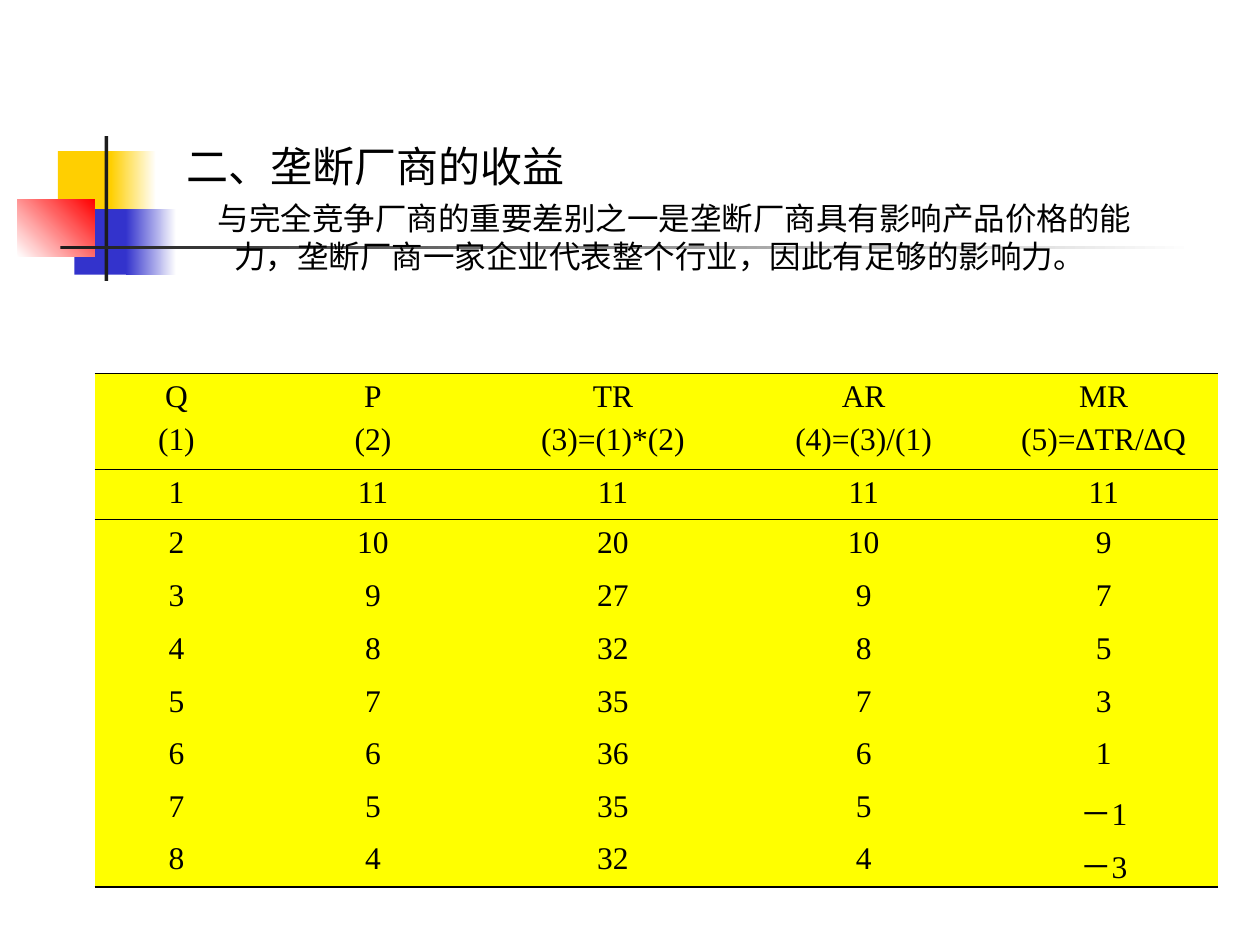
from lxml import etree
from pptx import Presentation
from pptx.dml.color import RGBColor
from pptx.enum.shapes import MSO_SHAPE
from pptx.enum.text import MSO_ANCHOR, PP_ALIGN
from pptx.oxml.ns import qn
from pptx.util import Inches, Pt

RECT = MSO_SHAPE.RECTANGLE
TOP = MSO_ANCHOR.TOP
LEFT, MID = PP_ALIGN.LEFT, PP_ALIGN.CENTER
PLAIN = "{2D5ABB26-0587-4C30-8999-92F81FD0307C}"

COLORS = {
    "gold": "FFCF01", "blue": "3333CC", "red": "FF0000", "dark": "1C1C1C",
    "white": "FFFFFF", "black": "000000", "yellow": "FFFF00",
}

# Fill colours, place and angle of each block
BLOCKS = [
    (["gold"], (0.46, 1.2, 0.48, 0.52), 0),
    (["gold", "white"], (0.88, 1.2, 0.36, 0.52), 0),
    (["blue"], (0.59, 1.66, 0.46, 0.52), 0),
    (["blue", "white"], (1, 1.66, 0.4, 0.52), 0),
    (["white", "red"], (0.14, 1.58, 0.61, 0.46), 45),
    (["dark"], (0.83, 1.08, 0.03, 1.15), 0),
    (["dark", "white"], (0.48, 1.95, 9, 0.03), 0),
]

# Text, size, space before and first-line indent
BODY = [
    ("二、垄断厂商的收益", 24, 0, -0.38),
    ("与完全竞争厂商的重要差别之一是垄断厂商具有影响产品价格的能力，"
     "垄断厂商一家企业代表整个行业，因此有足够的影响力。", 18, 4.5, -0.13),
]

HEAD = [("Q", "(1)"), ("P", "(2)"), ("TR", "(3)=(1)*(2)"),
        ("AR", "(4)=(3)/(1)"), ("MR", "(5)=∆TR/∆Q")]
SALES = [
    (1, 11, 11, 11, 11),
    (2, 10, 20, 10, 9),
    (3, 9, 27, 9, 7),
    (4, 8, 32, 8, 5),
    (5, 7, 35, 7, 3),
    (6, 6, 36, 6, 1),
    (7, 5, 35, 5, "－1"),
    (8, 4, 32, 4, "－3"),
]
WIDTHS = [1.3, 1.82, 1.99, 1.99, 1.82]
HEIGHTS = [0.76, 0.4, 0.42, 0.42, 0.42, 0.41, 0.42, 0.42, 0.41]


def tint(name):
    return RGBColor.from_string(COLORS[name])


def adorn(target, values):
    """Set each attribute named in the dict."""
    for key, value in values.items():
        setattr(target, key, value)


class Deck:
    """Holds the text style and the current slide."""

    def __init__(self, slide):
        self.slide = slide
        self.body = "Roboto"
        self.grid = "Times New Roman"
        self.ink = "black"
        self.cell = "yellow"

    def block(self, names, box, angle):
        shape = self.slide.shapes.add_shape(RECT, *map(Inches, box))
        shape.shadow.inherit = False
        shape.line.fill.background()
        fill = shape.fill
        if len(names) == 1:
            fill.solid()
            fill.fore_color.rgb = tint(names[0])
            return
        fill.gradient()
        fill.gradient_angle = angle
        for stop, name in zip(fill.gradient_stops, names):
            stop.color.rgb = tint(name)

    def line(self, para, text, size, face, space, align):
        adorn(para, {"text": text, "alignment": align, "space_before": Pt(space)})
        adorn(para.font, {"size": Pt(size), "name": face})
        para.font.color.rgb = tint(self.ink)

    def text(self, box, lines):
        frame = self.slide.shapes.add_textbox(*map(Inches, box)).text_frame
        adorn(frame, {"word_wrap": True, "vertical_anchor": TOP})
        for i, (text, size, space, indent) in enumerate(lines):
            para = frame.add_paragraph() if i else frame.paragraphs[0]
            self.line(para, text, size, self.body, space, LEFT)
            props = para._p.get_or_add_pPr()
            props.set("marL", str(Inches(0.38)))
            props.set("indent", str(Inches(indent)))

    def border(self, cell, sides):
        """Draw borders, given as tag and width, ahead of the cell fill."""
        props = cell._tc.get_or_add_tcPr()
        for i, (tag, width) in enumerate(sides):
            edge = etree.Element(qn(tag), w=str(Pt(width)))
            fill = etree.SubElement(edge, qn("a:solidFill"))
            etree.SubElement(fill, qn("a:srgbClr"), val=COLORS[self.ink])
            props.insert(i, edge)

    def table(self, left, top, rows, widths, heights, edges):
        table = self.slide.shapes.add_table(
            len(rows), len(widths), Inches(left), Inches(top),
            Inches(sum(widths)), Inches(sum(heights))).table
        adorn(table, {"first_row": False, "horz_banding": False})
        table._tbl.tblPr.find(qn("a:tableStyleId")).text = PLAIN
        for col, width in zip(table.columns, widths):
            col.width = Inches(width)
        for r, (row, height) in enumerate(zip(rows, heights)):
            table.rows[r].height = Inches(height)
            for c, lines in enumerate(row):
                cell = table.cell(r, c)
                cell.fill.solid()
                cell.fill.fore_color.rgb = tint(self.cell)
                self.border(cell, edges.get(r, []))
                frame = cell.text_frame
                for i, text in enumerate(lines):
                    para = frame.add_paragraph() if i else frame.paragraphs[0]
                    self.line(para, text, 18, self.grid, 4.5 if i else 0, MID)


def main():
    show = Presentation()
    adorn(show, {"slide_width": Inches(10), "slide_height": Inches(7.5)})
    deck = Deck(show.slides.add_slide(show.slide_layouts[6]))
    for names, box, angle in BLOCKS:
        deck.block(names, box, angle)
    deck.text((1.38, 1.07, 7.72, 1.7), BODY)
    rows = [HEAD] + [[(str(value),) for value in row] for row in SALES]
    edges = {
        0: [("a:lnT", 0.45), ("a:lnB", 0.45)],
        1: [("a:lnT", 0.45)],
        len(SALES): [("a:lnB", 1.08)],
    }
    deck.table(0.75, 2.96, rows, WIDTHS, HEIGHTS, edges)
    show.save("out.pptx")


if __name__ == "__main__":
    main()
